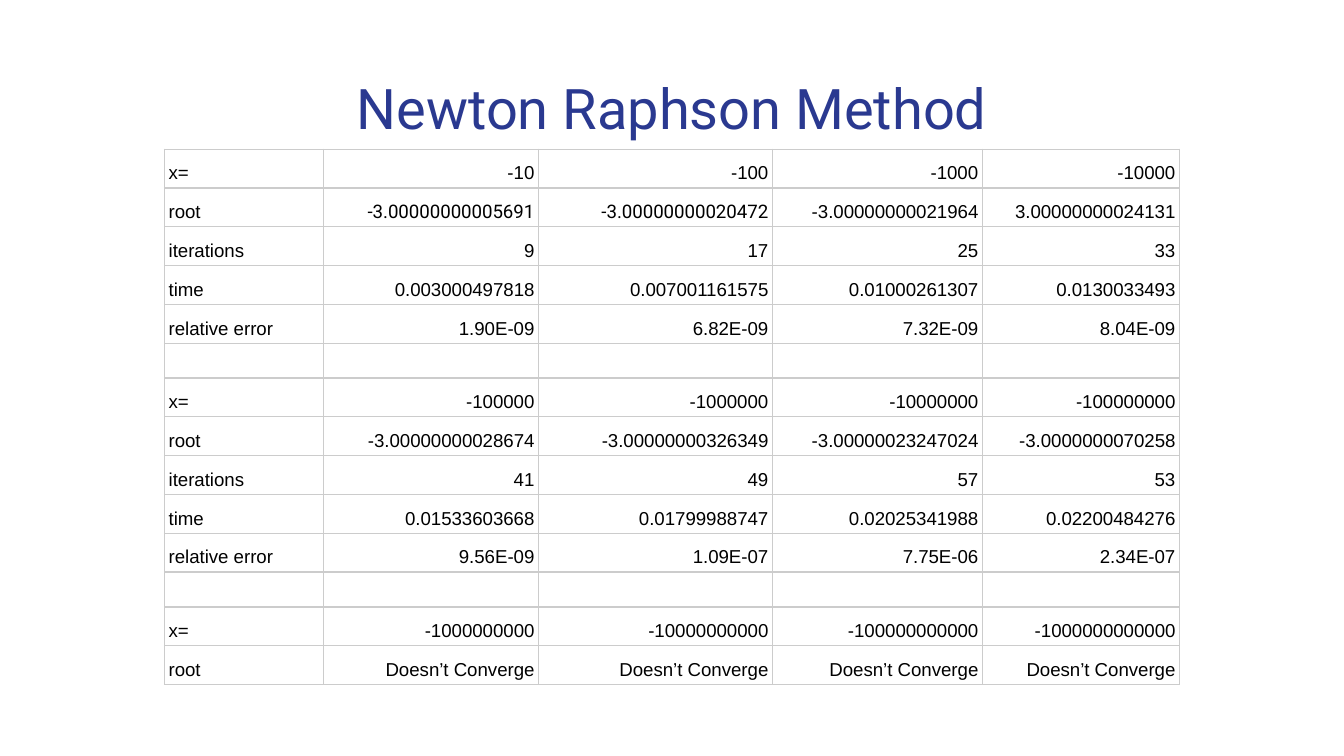
from lxml.etree import SubElement
from pptx import Presentation
from pptx.dml.color import RGBColor
from pptx.enum.text import MSO_ANCHOR, MSO_AUTO_SIZE, PP_ALIGN
from pptx.oxml import parse_xml
from pptx.oxml.ns import nsdecls, qn
from pptx.util import Pt

LABELS = ["x=", "root", "iterations", "time", "relative error"]
BLANK = [""] * 5
RUNS = [
    [
        ["-10", "-100", "-1000", "-10000"],
        ["-3.00000000005691", "-3.00000000020472", "-3.00000000021964", "3.00000000024131"],
        ["9", "17", "25", "33"],
        ["0.003000497818", "0.007001161575", "0.01000261307", "0.0130033493"],
        ["1.90E-09", "6.82E-09", "7.32E-09", "8.04E-09"],
    ],
    [
        ["-100000", "-1000000", "-10000000", "-100000000"],
        ["-3.00000000028674", "-3.00000000326349", "-3.00000023247024", "-3.0000000070258"],
        ["41", "49", "57", "53"],
        ["0.01533603668", "0.01799988747", "0.02025341988", "0.02200484276"],
        ["9.56E-09", "1.09E-07", "7.75E-06", "2.34E-07"],
    ],
    [
        ["-1000000000", "-10000000000", "-100000000000", "-1000000000000"],
        ["Doesn’t Converge"] * 4,
    ],
]
WIDTHS = [85.2, 115.2, 125.3, 112.5, 105.6]
ROBOTO = {"-3.00000000005691", "-3.00000000020472"}


def style(run, face, size, color):
    """Set the face, size and colour of a run."""
    run.font.name = face
    run.font.size = Pt(size)
    run.font.color.rgb = RGBColor.from_string(color)


def mark(run, color):
    """Highlight a run."""
    fill = run._r.get_or_add_rPr().find(qn("a:solidFill"))
    fill.addnext(parse_xml(
        f'<a:highlight {nsdecls("a")}><a:srgbClr val="{color}"/></a:highlight>'))


def border(cell, color, width):
    """Draw a line on all four sides of a cell."""
    props = cell._tc.get_or_add_tcPr()
    for side in ("lnL", "lnR", "lnT", "lnB"):
        props.append(parse_xml(
            f'<a:{side} {nsdecls("a")} w="{Pt(width)}"><a:solidFill>'
            f'<a:srgbClr val="{color}"/></a:solidFill></a:{side}>'))


def fill_cell(cell, text, first):
    """Write and format one table cell."""
    border(cell, "CCCCCC", 0.75)
    cell.fill.background()
    cell.vertical_anchor = MSO_ANCHOR.BOTTOM
    cell.margin_left = cell.margin_right = Pt(2.25)
    cell.margin_top = cell.margin_bottom = Pt(2.25)
    para = cell.text_frame.paragraphs[0]
    para.text = text
    para.line_spacing = 1.15
    para.alignment = PP_ALIGN.LEFT if first else PP_ALIGN.RIGHT
    if not text:
        SubElement(para._p, qn("a:endParaRPr"), sz="1000")
    for run in para.runs:
        style(run, "Roboto" if text in ROBOTO else "Arial", 10, "000000")
        if "3.0000000" in text:
            mark(run, "FFFFFF")


def list_rows():
    """Join the runs into table rows, with a blank row between them."""
    rows = []
    for run in RUNS:
        if rows:
            rows.append(BLANK)
        rows += [[label, *vals] for label, vals in zip(LABELS, run)]
    return rows


def add_title(slide, text):
    """Place and format the title."""
    title = slide.shapes.title
    title.left, title.top, title.width, title.height = Pt(24.5), Pt(32.4), Pt(671), Pt(47.5)
    frame = title.text_frame
    frame.text = text
    frame.auto_size = MSO_AUTO_SIZE.NONE
    frame.vertical_anchor = MSO_ANCHOR.TOP
    frame.margin_left = frame.margin_right = Pt(7.2)
    frame.margin_top = frame.margin_bottom = Pt(7.2)
    para = frame.paragraphs[0]
    para.alignment = PP_ALIGN.CENTER
    style(para.runs[0], "Roboto", 30, "2A3990")


def add_grid(slide, rows):
    """Add the table of results."""
    tall = [20.8 if any(row) else 18.7 for row in rows]
    table = slide.shapes.add_table(
        len(rows), len(WIDTHS), Pt(88.1), Pt(80), Pt(sum(WIDTHS)), Pt(sum(tall))).table
    table.first_row = table.horz_banding = False
    for col, width in zip(table.columns, WIDTHS):
        col.width = Pt(width)
    for line, height, row in zip(table.rows, tall, rows):
        line.height = Pt(height)
        for spot, (cell, text) in enumerate(zip(line.cells, row)):
            fill_cell(cell, text, spot == 0)


def main():
    """Build and save the slide."""
    deck = Presentation()
    deck.slide_width, deck.slide_height = Pt(720), Pt(405)
    slide = deck.slides.add_slide(deck.slide_layouts[5])
    add_title(slide, "Newton Raphson Method")
    add_grid(slide, list_rows())
    deck.save("out.pptx")


if __name__ == "__main__":
    main()
